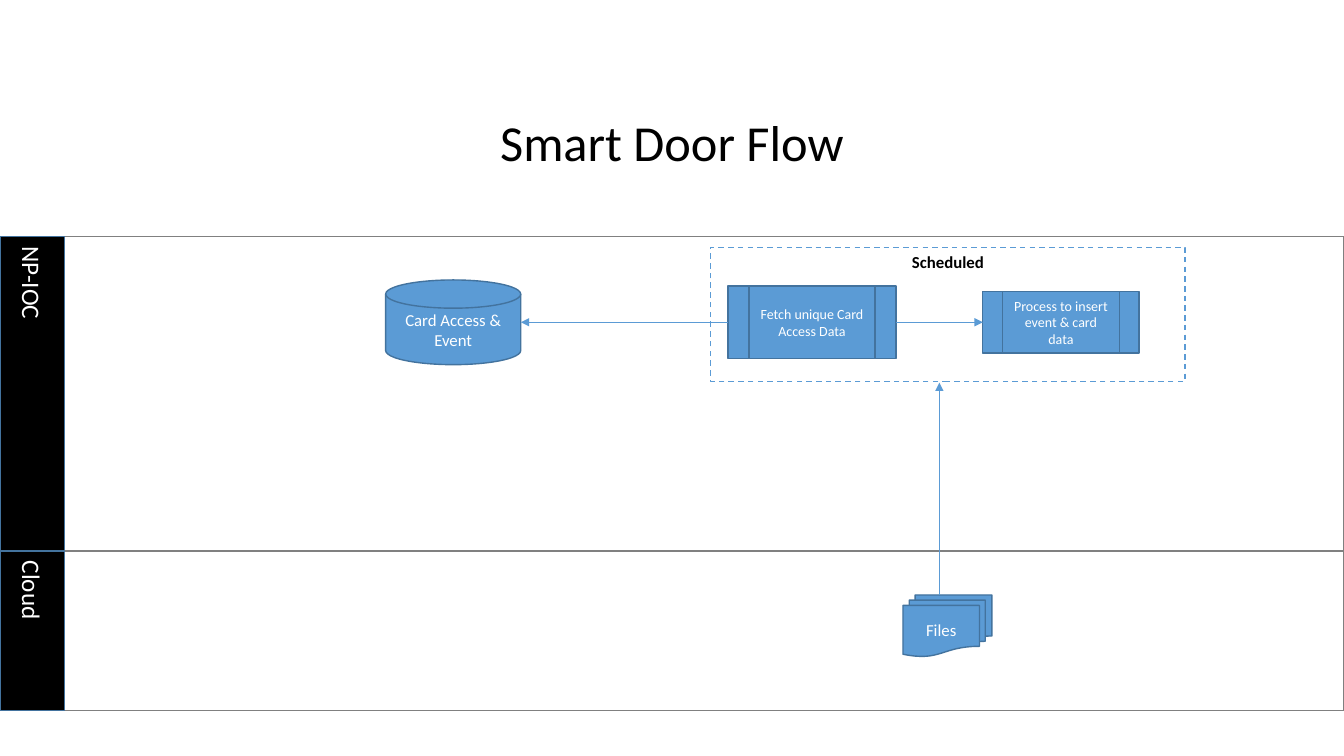
import pptx
import pptx.dml.color
import pptx.enum.dml
import pptx.enum.shapes
import pptx.enum.text
import pptx.oxml
import pptx.oxml.ns
import pptx.util

Pt = pptx.util.Pt
RGBColor = pptx.dml.color.RGBColor
SHAPE = pptx.enum.shapes.MSO_SHAPE
ALIGN = pptx.enum.text.PP_ALIGN
ANCHOR = pptx.enum.text.MSO_ANCHOR

BLACK = RGBColor(0x00, 0x00, 0x00)
WHITE = RGBColor(0xFF, 0xFF, 0xFF)
GRAY = RGBColor(0x80, 0x80, 0x80)
BLUE = RGBColor(0x5B, 0x9B, 0xD5)
DARK_BLUE = RGBColor(0x43, 0x73, 0x9E)

SLIDE_WIDTH, SLIDE_HEIGHT = 960, 540
LABEL_WIDTH = 46


def write_text(shape, text, size=12, color=WHITE, bold=False,
               align=ALIGN.CENTER, anchor=ANCHOR.MIDDLE):
    frame = shape.text_frame
    frame.word_wrap = True
    frame.auto_size = pptx.enum.text.MSO_AUTO_SIZE.NONE
    frame.vertical_anchor = anchor
    paragraph = frame.paragraphs[0]
    paragraph.alignment = align
    run = paragraph.add_run()
    run.text = text
    run.font.name = "Calibri"
    run.font.size = Pt(size)
    run.font.bold = bold
    run.font.color.rgb = color


def add_box(kind, left, top, width, height, fill=None, line=DARK_BLUE):
    shape = slide.shapes.add_shape(kind, Pt(left), Pt(top), Pt(width), Pt(height))
    shape.shadow.inherit = False
    if fill is None:
        shape.fill.background()
    else:
        shape.fill.solid()
        shape.fill.fore_color.rgb = fill
    shape.line.color.rgb = line
    shape.line.width = Pt(1)
    return shape


presentation = pptx.Presentation()
presentation.slide_width = Pt(SLIDE_WIDTH)
presentation.slide_height = Pt(SLIDE_HEIGHT)
slide = presentation.slides.add_slide(presentation.slide_layouts[5])

# Title
title = slide.shapes.title
title.left, title.top, title.width, title.height = Pt(-8), Pt(75.6), Pt(976), Pt(51)
write_text(title, "Smart Door Flow", size=36, color=BLACK, anchor=ANCHOR.TOP)

# Swimlanes, stacked from the top
lane_top = 169
for lane_name, lane_height in [("NP-IOC", 224.5), ("Cloud", 114)]:
    add_box(SHAPE.RECTANGLE, 0, lane_top, SLIDE_WIDTH, lane_height, line=GRAY)
    label = add_box(SHAPE.RECTANGLE, 0, lane_top, LABEL_WIDTH, lane_height, fill=BLACK)
    write_text(label, lane_name, size=18, align=ALIGN.LEFT)
    label.text_frame._txBody.bodyPr.set("vert", "vert")
    lane_top += lane_height

# Scheduled group frame
scheduled = add_box(SHAPE.RECTANGLE, 507.6, 176.6, 339, 95.8, line=BLUE)
scheduled.line.dash_style = pptx.enum.dml.MSO_LINE.DASH
write_text(scheduled, "Scheduled", color=BLACK, bold=True, anchor=ANCHOR.TOP)

# Flow steps
steps = [
    (SHAPE.FLOWCHART_MULTIDOCUMENT, 645, 425, 63.5, 44, "Files", 12),
    (SHAPE.FLOWCHART_MAGNETIC_DISK, 275.5, 200, 96.5, 60.5, "Card Access & Event", 12),
    (SHAPE.FLOWCHART_PREDEFINED_PROCESS, 520, 204.2, 120, 52,
     "Fetch unique Card Access Data", 10),
    (SHAPE.FLOWCHART_PREDEFINED_PROCESS, 702, 208.2, 111.6, 44,
     "Process to insert event & card data", 10),
]
for kind, left, top, width, height, text, size in steps:
    step = add_box(kind, left, top, width, height, fill=BLUE)
    write_text(step, text, size=size)

# Arrows between the steps
arrows = [
    (520, 230.2, 372, 230.2),
    (640, 230.2, 702, 230.2),
    (671, 425, 671, 273.3),
]
for ends in arrows:
    arrow = slide.shapes.add_connector(
        pptx.enum.shapes.MSO_CONNECTOR.STRAIGHT, *[Pt(value) for value in ends])
    arrow.line.color.rgb = BLUE
    arrow.line.width = Pt(0.5)
    line = arrow.line._get_or_add_ln()
    tail = pptx.oxml.parse_xml(
        '<a:tailEnd type="triangle" %s/>' % pptx.oxml.ns.nsdecls("a"))
    line.append(tail)
    effects = pptx.oxml.parse_xml("<a:effectLst %s/>" % pptx.oxml.ns.nsdecls("a"))
    line.addnext(effects)

presentation.save("out.pptx")
